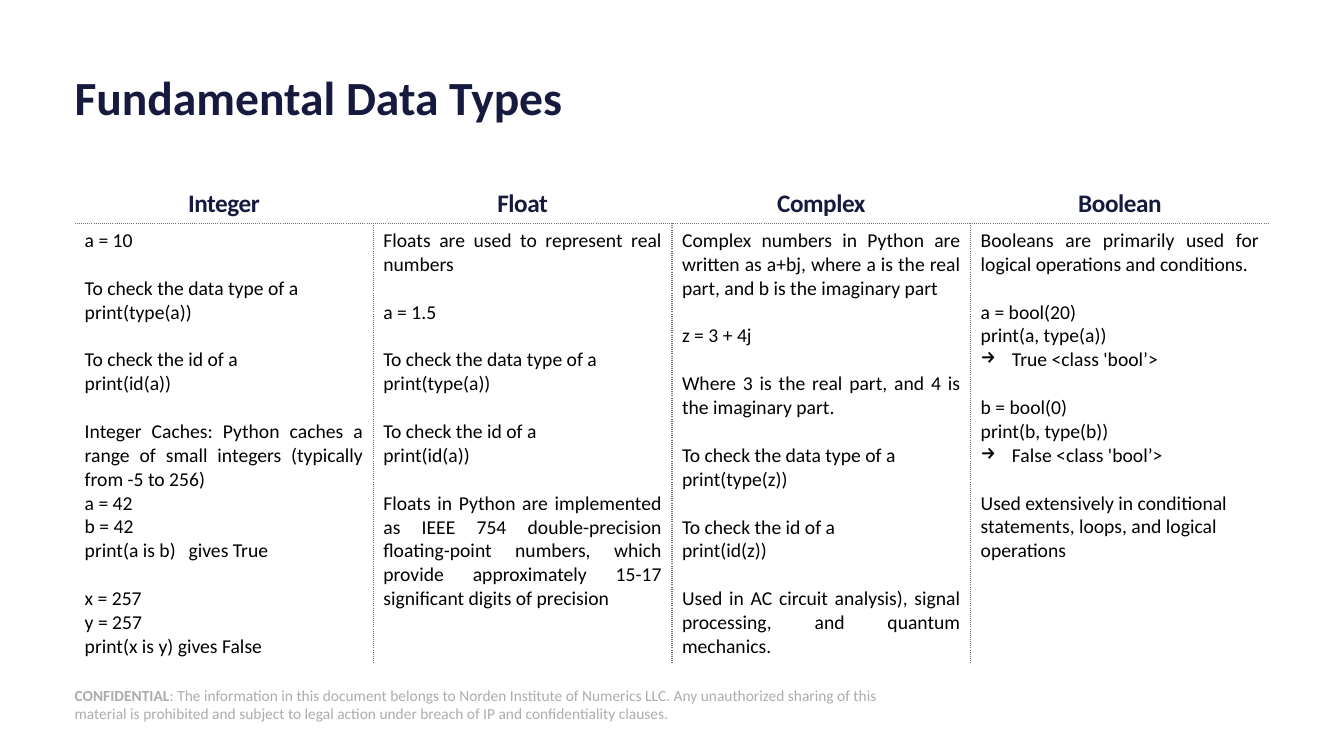
import pptx
import pptx.util
import pptx.dml.color
import pptx.enum.shapes
import pptx.enum.text
from lxml import etree
from pptx.oxml.ns import qn
from pptx.util import Inches

ALIGN = pptx.enum.text.PP_ALIGN
MIDDLE = pptx.enum.text.MSO_ANCHOR.MIDDLE
NAVY, BLACK, GREY, RULE, WHITE = "161A3E", "000000", "AFABAB", "767171", "FFFFFF"
FONT = "Calibri"
ARROW = "→"

TITLE = "Fundamental Data Types"
NOTICE = [
    ("CONFIDENTIAL", True),
    (": The information in this document belongs to Norden Institute of Numerics LLC. "
     "Any unauthorized sharing of this material is prohibited and subject to legal action "
     "under breach of IP and confidentiality clauses.", False),
]

# Heading, justified groups of lines, left-aligned groups of lines
COLUMNS = [
    ("Integer", [
        ["a = 10"],
        ["To check the data type of a", "print(type(a))"],
        ["To check the id of a", "print(id(a))"],
        ["Integer Caches: Python caches a range of small integers (typically from -5 to 256)",
         "a = 42", "b = 42", "print(a is b)\tgives True"],
        ["x = 257", "y = 257", "print(x is y) gives False"],
    ], []),
    ("Float", [
        ["Floats are used to represent real numbers"],
        ["a = 1.5"],
        ["To check the data type of a", "print(type(a))"],
        ["To check the id of a", "print(id(a))"],
        ["Floats in Python are implemented as IEEE 754 double-precision floating-point "
         "numbers, which provide approximately 15-17 significant digits of precision"],
    ], []),
    ("Complex", [
        ["Complex numbers in Python are written as a+bj, where a is the real part, "
         "and b is the imaginary part"],
        ["z = 3 + 4j"],
        ["Where 3 is the real part, and 4 is the imaginary part."],
        ["To check the data type of a", "print(type(z))"],
        ["To check the id of a", "print(id(z))"],
        ["Used in AC circuit analysis), signal processing, and quantum mechanics."],
    ], []),
    ("Boolean", [
        ["Booleans are primarily used for logical operations and conditions."],
    ], [
        ["a = bool(20)", "print(a, type(a))", "→ True <class 'bool’>"],
        ["b = bool(0)", "print(b, type(b))", "→ False <class 'bool’>"],
        ["Used extensively in conditional statements, loops, and logical operations"],
    ]),
]

LEFT, WIDTH = 0.74, 11.85
TABLE_TOP, ROW_HEIGHTS = 1.82, (0.4, 4.35)
GROUP_GAP = 17.1
BULLET_INDENT = 0.31
TAB_STOP = 1.03


def color(hex_value):
    return pptx.dml.color.RGBColor.from_string(hex_value)


def add_run(paragraph, text, size, hex_value, bold=False):
    run = paragraph.add_run()
    run.text = text
    for name, value in {"name": FONT, "size": pptx.util.Pt(size), "bold": bold}.items():
        setattr(run.font, name, value)
    run.font.color.rgb = color(hex_value)
    return run


def prepare_frame(shape):
    """Wrap, centre vertically and remove the margins."""
    frame = shape.text_frame
    settings = {"word_wrap": True, "vertical_anchor": MIDDLE, "margin_left": 0,
                "margin_right": 0, "margin_top": 0, "margin_bottom": 0}
    for name, value in settings.items():
        setattr(frame, name, value)
    return frame.paragraphs[0]


def add_bullet(paragraph):
    properties = paragraph._p.get_or_add_pPr()
    properties.set("marL", str(Inches(BULLET_INDENT)))
    properties.set("indent", str(-Inches(BULLET_INDENT)))
    etree.SubElement(properties, qn("a:buChar"), char=ARROW)


def add_tab_stop(paragraph):
    tabs = etree.SubElement(paragraph._p.get_or_add_pPr(), qn("a:tabLst"))
    etree.SubElement(tabs, qn("a:tab"), pos=str(Inches(TAB_STOP)), algn="l")


def set_borders(cell, visible_sides):
    """Draw dotted rules on the given sides (of L, R, T, B) and none elsewhere."""
    properties = cell._tc.get_or_add_tcPr()
    for side in "LRTB":
        line = etree.SubElement(properties, qn("a:ln" + side), w=str(pptx.util.Pt(1)))
        if side in visible_sides:
            fill = etree.SubElement(line, qn("a:solidFill"))
            etree.SubElement(fill, qn("a:srgbClr"), val=RULE)
            etree.SubElement(line, qn("a:prstDash"), val="sysDot")
        else:
            etree.SubElement(line, qn("a:noFill"))
    cell.fill.background()


def fill_heading(cell, heading):
    set_borders(cell, "B")
    cell.vertical_anchor = MIDDLE
    paragraph = cell.text_frame.paragraphs[0]
    paragraph.alignment = ALIGN.CENTER
    run = add_run(paragraph, heading, 18, NAVY, True)
    run.font._element.set("spc", "-30")


def fill_body(cell, justified, left_aligned):
    groups = [(group, ALIGN.JUSTIFY) for group in justified]
    groups += [(group, ALIGN.LEFT) for group in left_aligned]
    frame = cell.text_frame
    for group_index, (group, alignment) in enumerate(groups):
        for line_index, text in enumerate(group):
            first = group_index == line_index == 0
            paragraph = frame.paragraphs[0] if first else frame.add_paragraph()
            paragraph.alignment = alignment
            if line_index == 0 and not first:
                paragraph.space_before = pptx.util.Pt(GROUP_GAP)
            if text.startswith(ARROW):
                add_bullet(paragraph)
                text = text.removeprefix(ARROW).strip()
            if "\t" in text:
                add_tab_stop(paragraph)
            add_run(paragraph, text, 14, BLACK)


def add_type_table(slide):
    table = slide.shapes.add_table(
        2, len(COLUMNS), Inches(LEFT), Inches(TABLE_TOP),
        Inches(WIDTH), Inches(sum(ROW_HEIGHTS))).table
    table.first_row = table.horz_banding = False
    for row, height in zip(table.rows, ROW_HEIGHTS):
        row.height = Inches(height)
    last = len(COLUMNS) - 1
    for index, (heading, justified, left_aligned) in enumerate(COLUMNS):
        table.columns[index].width = Inches(WIDTH / len(COLUMNS))
        fill_heading(table.cell(0, index), heading)
        body = table.cell(1, index)
        set_borders(body, "T" + ("L" if index > 0 else "") + ("R" if index < last else ""))
        fill_body(body, justified, left_aligned)


def main():
    presentation = pptx.Presentation()
    presentation.slide_width, presentation.slide_height = Inches(13.33), Inches(7.5)
    slide = presentation.slides.add_slide(presentation.slide_layouts[6])

    notice = slide.shapes.add_shape(
        pptx.enum.shapes.MSO_SHAPE.RECTANGLE,
        Inches(LEFT), Inches(6.79), Inches(8.17), Inches(0.4))
    notice.shadow.inherit = False
    notice.fill.solid()
    notice.fill.fore_color.rgb = color(WHITE)
    notice.line.fill.background()
    paragraph = prepare_frame(notice)
    paragraph.alignment = ALIGN.LEFT
    for text, bold in NOTICE:
        add_run(paragraph, text, 11, GREY, bold)

    title = slide.shapes.add_textbox(Inches(LEFT), Inches(0.66), Inches(WIDTH), Inches(0.67))
    paragraph = prepare_frame(title)
    paragraph.line_spacing = 0.9
    add_run(paragraph, TITLE, 34, NAVY, True)

    add_type_table(slide)
    presentation.save("out.pptx")


if __name__ == "__main__":
    main()
